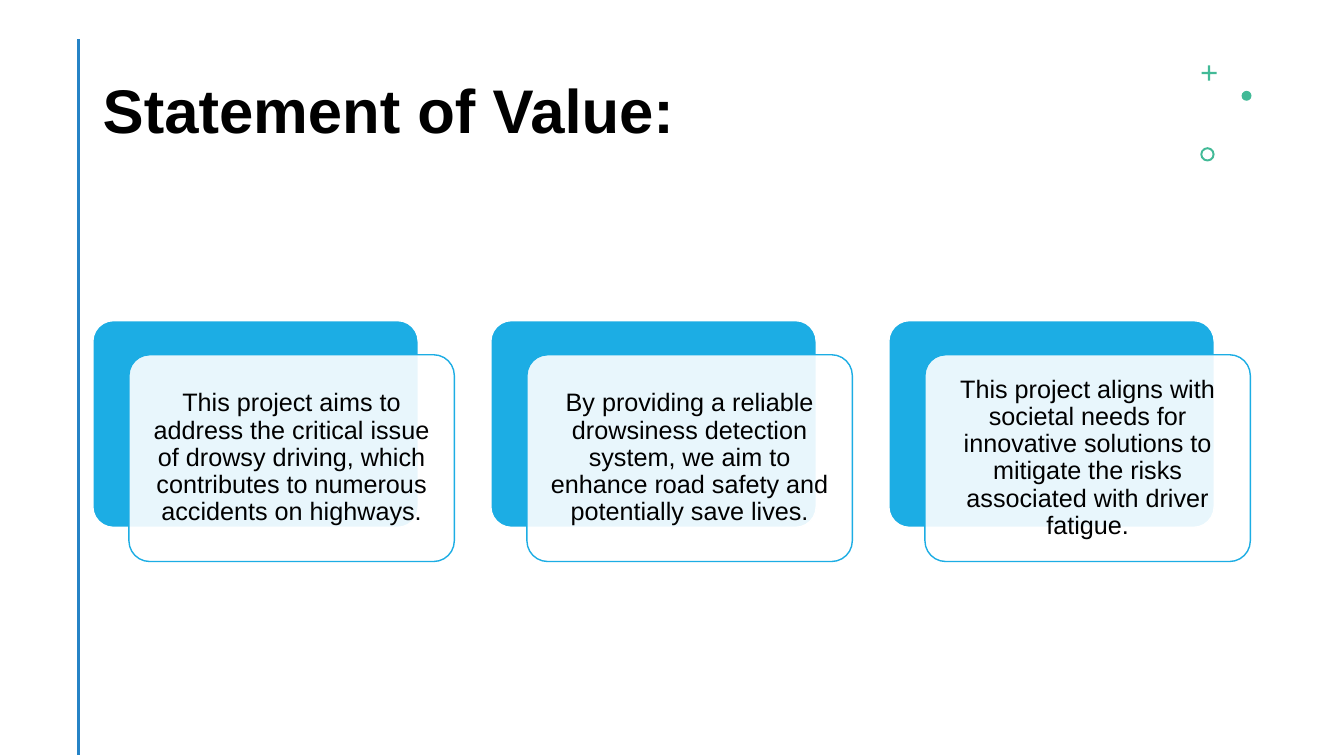
from pptx import Presentation
from pptx import util as u
from pptx.dml.color import RGBColor
from pptx.enum import shapes, text
from pptx.oxml.ns import qn
from lxml import etree

BLACK = RGBColor(0, 0, 0)
WHITE = RGBColor(0xFF, 0xFF, 0xFF)
SKY = RGBColor(0x1C, 0xAD, 0xE4)
BLUE = RGBColor(0x26, 0x83, 0xC6)
GREEN = RGBColor(0x42, 0xBA, 0x97)

VALUES = [
    "This project aims to address the critical issue of drowsy driving, "
    "which contributes to numerous accidents on highways.",
    "By providing a reliable drowsiness detection system, we aim to "
    "enhance road safety and potentially save lives.",
    "This project aligns with societal needs for innovative solutions to "
    "mitigate the risks associated with driver fatigue.",
]
LEFT, TOP, PITCH = 2.34, 8.08, 10.03
WIDE, HIGH = 8.2, 5.21
SHIFT_X, SHIFT_Y = 0.91, 0.86


def add_text(shape, words, size, align, bold=False):
    frame = shape.text_frame
    frame.word_wrap = True
    frame.vertical_anchor = text.MSO_ANCHOR.MIDDLE
    para = frame.paragraphs[0]
    para.text = words
    para.alignment = align
    para.line_spacing = 0.9
    font = para.font
    font.name, font.size, font.bold = "Arial", u.Pt(size), bold
    font.color.rgb = BLACK


def add_form(slide, kind, box, fill, line=None, adjust=None):
    """Add a preset shape; box is left, top, width, height in cm."""
    shape = slide.shapes.add_shape(kind, *map(u.Cm, box))
    shape.shadow.inherit = False
    shape.fill.solid()
    shape.fill.fore_color.rgb = fill
    if line is None:
        shape.line.fill.background()
    else:
        shape.line.color.rgb = line
        shape.line.width = u.Pt(1)
    if adjust is not None:
        shape.adjustments[0] = adjust
    return shape


def set_alpha(shape, percent):
    color = shape.fill._xPr.find(qn("a:solidFill"))[0]
    etree.SubElement(color, qn("a:alpha"), val=str(percent * 1000))


def add_title(slide, words):
    box = slide.shapes.add_textbox(u.Cm(2.34), u.Cm(1.02), u.Cm(27.33), u.Cm(3.68))
    add_text(box, words, 44, text.PP_ALIGN.LEFT, bold=True)


def add_rule(slide):
    x = u.Cm(1.98)
    rule = slide.shapes.add_connector(
        shapes.MSO_CONNECTOR.STRAIGHT, x, u.Cm(0.99), x, u.Cm(19.02))
    rule.line.color.rgb = BLUE
    rule.line.width = u.Pt(2)
    etree.SubElement(rule._element.spPr, qn("a:effectLst"))


def add_marks(slide):
    kind = shapes.MSO_SHAPE
    add_form(slide, kind.CROSS, (30.28, 1.65, 0.38, 0.38), GREEN, adjust=0.43)
    add_form(slide, kind.OVAL, (31.29, 2.29, 0.25, 0.25), GREEN)
    add_form(slide, kind.DONUT, (30.25, 3.71, 0.36, 0.36), GREEN, adjust=0.14)


def add_card(slide, left, words):
    """Add a blue panel with a translucent text card set off from it."""
    kind = shapes.MSO_SHAPE.ROUNDED_RECTANGLE
    add_form(slide, kind, (left, TOP, WIDE, HIGH), SKY, WHITE, 0.1)
    card = add_form(slide, kind, (left + SHIFT_X, TOP + SHIFT_Y, WIDE, HIGH),
                    WHITE, SKY, 0.1)
    set_alpha(card, 90)
    add_text(card, words, 18, text.PP_ALIGN.CENTER)
    frame = card.text_frame
    frame.margin_left = frame.margin_right = u.Cm(0.18)
    frame.margin_top = frame.margin_bottom = u.Cm(0.18)


def main():
    deck = Presentation()
    deck.slide_width, deck.slide_height = u.Cm(33.87), u.Cm(19.05)
    slide = deck.slides.add_slide(deck.slide_layouts[6])
    add_title(slide, "Statement of Value:")
    add_rule(slide)
    add_marks(slide)
    for i, words in enumerate(VALUES):
        add_card(slide, LEFT + i * PITCH, words)
    deck.save("out.pptx")


if __name__ == "__main__":
    main()
